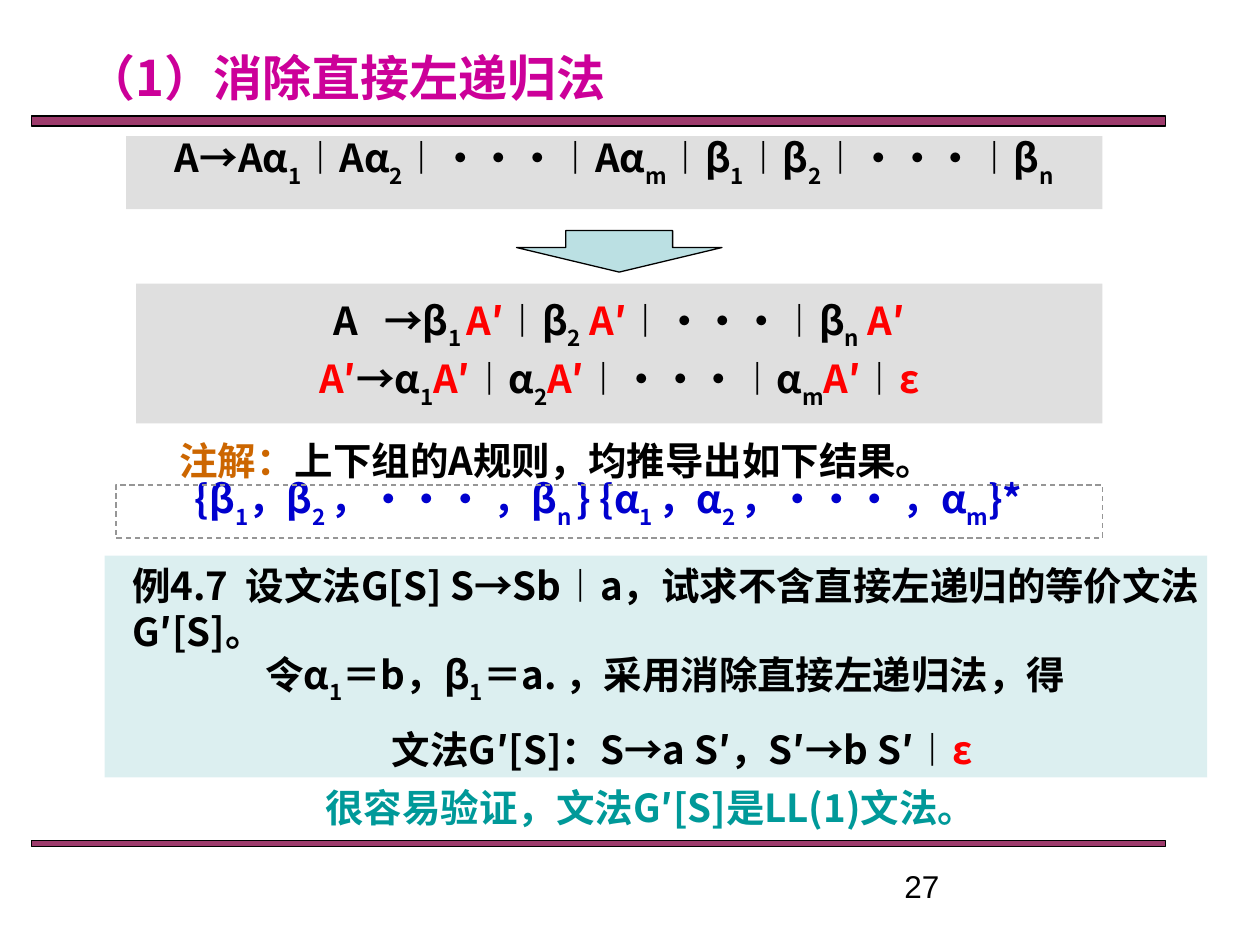
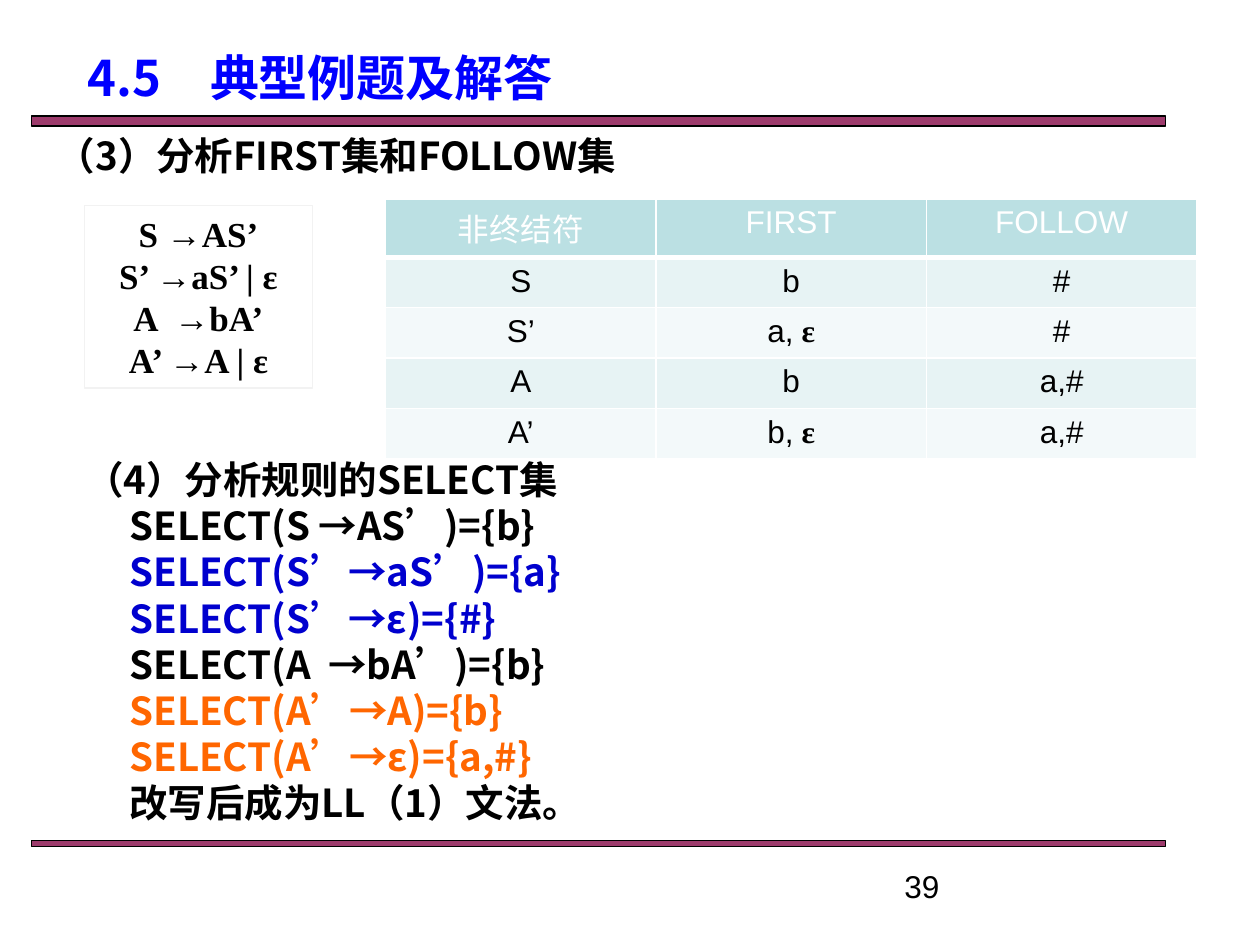
"""Build two lecture slides on eliminating left recursion and LL(1) analysis."""
from dataclasses import dataclass

from lxml.etree import SubElement
from pptx import Presentation
from pptx.dml.color import RGBColor as Rgb
from pptx.enum.dml import MSO_LINE_DASH_STYLE as Dash
from pptx.enum.shapes import MSO_SHAPE as Shape
from pptx.enum.text import MSO_ANCHOR as Anchor
from pptx.enum.text import MSO_AUTO_SIZE as AutoSize
from pptx.enum.text import PP_ALIGN as Align
from pptx.oxml.ns import qn
from pptx.util import Inches, Pt


@dataclass(frozen=True)
class Theme:
    """Colours, fonts and type sizes shared by the slides."""
    black: str = "000000"
    white: str = "FFFFFF"
    band: str = "993366"
    gray: str = "C0C0C0"
    dash: str = "969696"
    frame: str = "F2F2F2"
    teal: str = "BBE0E3"
    row_fills: tuple = ("E7F3F4", "F3F9FA")
    red: str = "FF0000"
    blue: str = "0000CE"
    brown: str = "CC6600"
    orange: str = "FF6600"
    green: str = "009999"
    magenta: str = "CC0099"
    title_blue: str = "0000FF"
    body: str = "Noto Sans CJK SC"
    plain: str = "Arial"
    serif: str = "Times New Roman"
    title_size: int = 28
    body_size: int = 22
    grammar_size: int = 20
    small_size: int = 18
    leading: float = 1.2


class SlideBuilder:
    """Hold the deck, the theme and the current slide."""

    def __init__(self):
        self.theme = Theme()
        self.deck = Presentation()
        self.deck.slide_width, self.deck.slide_height = Inches(10), Inches(7.5)
        self.page = None

    def start(self, title, color, at, number, align=Align.LEFT):
        """Add a slide with its title, bands and page number."""
        theme = self.theme
        self.page = self.deck.slides.add_slide(self.deck.slide_layouts[5])
        for top, height in ((0.92, 0.08), (6.67, 0.05)):
            self.shape((0.25, top, 9, height), theme.band, 96, theme.black)
        box = self.page.shapes.title
        box.left, box.top, box.width, box.height = map(Inches, at)
        self.fill_text(box, [[(title, color)]], theme.title_size, align=align)
        self.text((7.08, 6.83, 2.33, 0.27), [[(str(number), theme.black)]],
                  theme.small_size, theme.plain, bold=False)

    def shape(self, at, fill=None, alpha=100, line=None, kind=Shape.RECTANGLE):
        """Add a preset shape with optional transparency and outline."""
        box = self.page.shapes.add_shape(kind, *map(Inches, at))
        box.shadow.inherit = False
        if fill:
            box.fill.solid()
            box.fill.fore_color.rgb = Rgb.from_string(fill)
            if alpha < 100:
                color = box.fill._xPr.find(f".//{qn('a:srgbClr')}")
                SubElement(color, qn("a:alpha"), val=str(alpha * 1000))
        else:
            box.fill.background()
        if line:
            box.line.color.rgb = Rgb.from_string(line)
            box.line.width = Pt(0.75)
        else:
            box.line.fill.background()
        return box

    def text(self, at, lines, size=None, font=None, **layout):
        """Add a text box."""
        box = self.page.shapes.add_textbox(*map(Inches, at))
        self.fill_text(box, lines, size, font, **layout)

    def fill_text(self, box, lines, size=None, font=None, bold=True, align=Align.LEFT,
                  gap=0, indents=(), wrap=True, anchor=Anchor.TOP):
        """Put lines of (text, colour) spans into a shape."""
        frame = box.text_frame
        frame.auto_size, frame.word_wrap = AutoSize.NONE, wrap
        frame.vertical_anchor = anchor
        size = size or self.theme.body_size
        for index, spans in enumerate(lines):
            para = frame.paragraphs[0] if index == 0 else frame.add_paragraph()
            para.line_spacing = Pt(size * self.theme.leading)
            para.space_before = Pt(gap if index else 0)
            self.fill_para(para, spans, size, font or self.theme.body, bold, align)
            if index < len(indents):
                para._p.get_or_add_pPr().set("marL", str(Inches(indents[index])))

    def fill_para(self, para, spans, size, font, bold, align):
        """Format a paragraph; text between tildes becomes a subscript."""
        para.alignment = align
        para.font.size, para.font.bold, para.font.name = Pt(size), bold, font
        if font == self.theme.body:
            latin = para.font._rPr.find(qn("a:latin"))
            latin.addnext(latin.makeelement(qn("a:ea"), typeface=font))
        for text, color in spans:
            for part, piece in enumerate(text.split("~")):
                if piece:
                    span = para.add_run()
                    span.text = piece
                    span.font.color.rgb = Rgb.from_string(color)
                    if part % 2:
                        span.font._element.set("baseline", "-30000")

    def table(self, at, rows):
        """Add a banded table with white rules and serif epsilons."""
        theme = self.theme
        grid = self.page.shapes.add_table(len(rows), len(rows[0]), *map(Inches, at)).table
        for r, row in enumerate(rows):
            for c, value in enumerate(row):
                cell = grid.cell(r, c)
                head, mark, _ = value.partition(" ε")
                para = cell.text_frame.paragraphs[0]
                self.fill_para(para, [(head, theme.black if r else theme.white)],
                               theme.small_size, theme.plain, False, Align.CENTER)
                if mark:
                    span = para.add_run()
                    span.text = mark
                    span.font.name, span.font.bold = theme.serif, True
                    span.font.color.rgb = Rgb.from_string(theme.black)
                self.rule(cell, 3 if r == 0 else 1, 3 if r == 1 else 1)
                cell.fill.solid()
                fill = theme.row_fills[(r - 1) % 2] if r else theme.teal
                cell.fill.fore_color.rgb = Rgb.from_string(fill)

    def rule(self, cell, bottom, top):
        """Draw white borders around a cell."""
        props = cell._tc.get_or_add_tcPr()
        for side, width in (("L", 1), ("R", 1), ("T", top), ("B", bottom)):
            line = SubElement(props, qn(f"a:ln{side}"), w=str(Pt(width)))
            solid = SubElement(line, qn("a:solidFill"))
            SubElement(solid, qn("a:srgbClr"), val=self.theme.white)


def build_recursion(slide):
    """Show the rule for removing direct left recursion."""
    theme = slide.theme
    black, red, blue = theme.black, theme.red, theme.blue
    slide.start("（1）消除直接左递归法", theme.magenta, (0.59, 0.33, 4.99, 0.5), 27)
    slide.shape((0.83, 4.41, 8.75, 1.76), theme.teal, 50)
    slide.shape((1.08, 2.25, 7.67, 1.11), theme.gray, 50)
    slide.shape((1, 1.08, 7.75, 0.58), theme.gray, 50)
    slide.text((0.75, 1.08, 8.25, 0.47),
               [[("A→Aα~1~︱Aα~2~︱···︱Aα~m~︱β~1~︱β~2~︱···︱β~n~", black)]],
               align=Align.CENTER, wrap=False)
    slide.text((1.2, 2.37, 7.43, 0.88), [
        [("A   →β~1 ~", black), ("A′", red), ("︱β~2~", black), (" A′", red),
         ("︱···︱β~n~", black), (" A′", red)],
        [("A′", red), ("→α~1~", black), ("A′", red), ("︱α~2~", black), ("A′", red),
         ("︱···︱α~m~", black), ("A′", red), ("︱", black), ("ε", red)],
    ], align=Align.CENTER, gap=7)
    arrow = slide.shape((4.1, 1.83, 1.63, 0.33), theme.teal, line=black,
                        kind=Shape.DOWN_ARROW)
    arrow.adjustments[0], arrow.adjustments[1] = 0.52, 0.59
    slide.text((-0.83, 3.42, 10.5, 0.84), [
        [("注解：", theme.brown), ("上下组的A规则，均推导出如下结果。", black)],
        [("{β~1~，β~2 ~，··· ，β~n ~} {α~1 ~，α~2 ~，··· ，α~m~}*", blue)],
    ], align=Align.CENTER, indents=(0, 0.82))
    slide.text((0.95, 4.41, 8.75, 0.84), [
        [("例4.7  设文法G[S] S→Sb︱a，试求不含直接左递归的等价文法G′[S]。", black)]])
    slide.text((1.28, 5.18, 8, 0.99), [
        [("令α~1~＝b，β~1~＝a. ，采用消除直接左递归法，得", black)],
        [("文法G′[S]：S→a S′，S′→b S′︱", black), ("ε", red)],
    ], align=Align.CENTER, gap=12, indents=(0, 0.27))
    slide.text((2.25, 6.17, 5.83, 0.47),
               [[("很容易验证，文法G′[S]是LL(1)文法。", theme.green)]], align=Align.CENTER)
    result = slide.shape((0.92, 3.85, 7.83, 0.42), line=theme.dash)
    result.line.dash_style = Dash.DASH


def build_example(slide):
    """Show the FIRST, FOLLOW and SELECT sets of a worked example."""
    theme = slide.theme
    black, blue, orange = theme.black, theme.blue, theme.orange
    slide.start("4.5\u3000典型例题及解答", theme.title_blue, (-0.67, 0.33, 6.42, 0.58), 39,
                Align.CENTER)
    slide.text((-1.33, 1, 8, 0.47), [[("（3）分析FIRST集和FOLLOW集", black)]],
               align=Align.CENTER)
    slide.table((3.06, 1.58, 6.44, 2), [
        ("非终结符", "FIRST", "FOLLOW"),
        ("S", "b", "#"),
        ("S’", "a, ε", "#"),
        ("A", "b", "a,#"),
        ("A’", "b, ε", "a,#"),
    ])
    grammar = slide.shape((0.67, 1.63, 1.81, 1.45), line=theme.frame)
    rules = ("S →AS’", "S’ →aS’ | ε", "A  →bA’", "A’ →A | ε")
    slide.fill_text(grammar, [[(rule, black)] for rule in rules], theme.grammar_size,
                    theme.serif, align=Align.CENTER, anchor=Anchor.MIDDLE)
    selects = (
        ("（4）分析规则的SELECT集", black),
        ("SELECT(S →AS’)={b}", black),
        ("SELECT(S’→aS’)={a}", blue),
        ("SELECT(S’→ε)={#}", blue),
        ("SELECT(A  →bA’)={b}", black),
        ("SELECT(A’→A)={b}", orange),
        ("SELECT(A’→ε)={a,#}", orange),
        ("改写后成为LL（1）文法。", black),
    )
    slide.text((0.58, 3.57, 7.58, 3.06), [[line] for line in selects],
               indents=(0,) + (0.35,) * (len(selects) - 1))


def main():
    """Build both slides and save the deck."""
    slide = SlideBuilder()
    build_recursion(slide)
    build_example(slide)
    slide.deck.save("out.pptx")


main()
